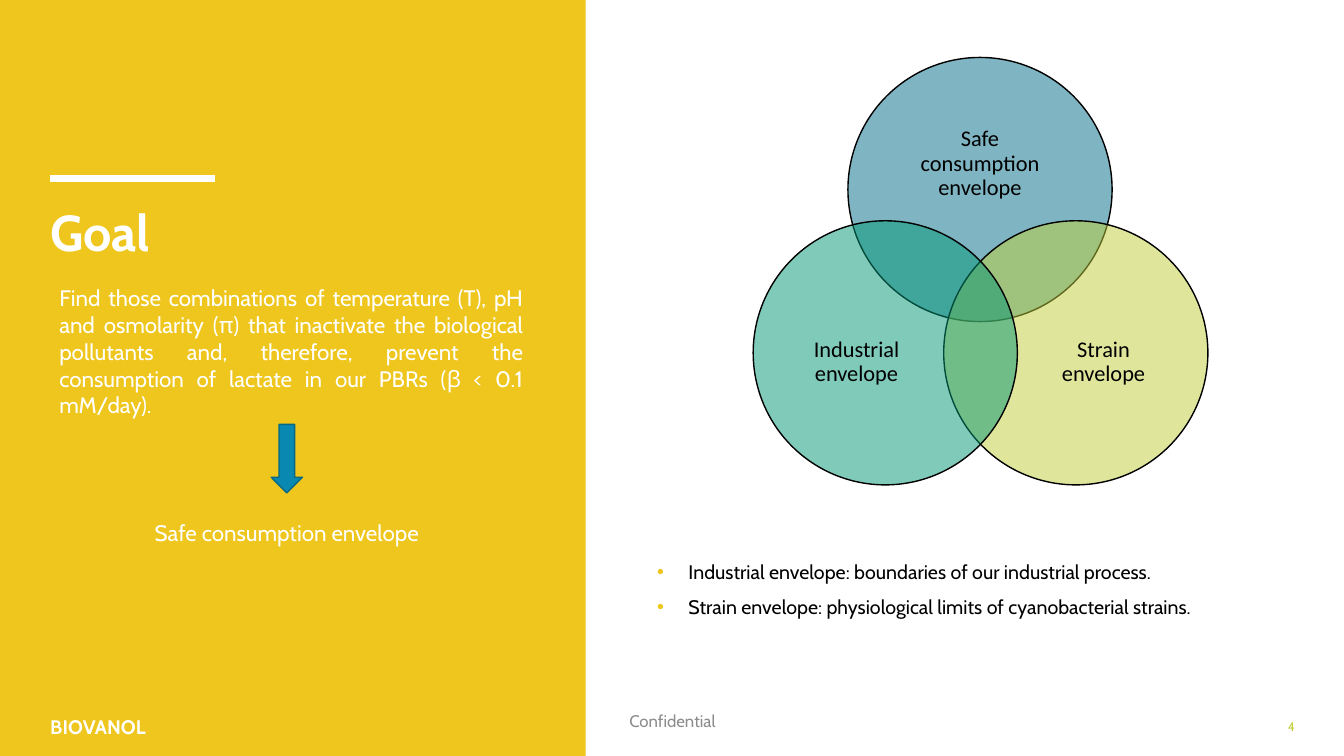
from pptx import Presentation
from pptx.dml.color import RGBColor
from pptx.enum.shapes import MSO_CONNECTOR, MSO_SHAPE
from pptx.enum.text import MSO_ANCHOR, PP_ALIGN
from pptx.oxml.ns import qn
from pptx.util import Inches, Pt
from lxml.etree import SubElement

GOLD = RGBColor(0xEE, 0xC6, 0x1D)
WHITE = RGBColor(0xFF, 0xFF, 0xFF)
BLACK = RGBColor(0, 0, 0)
GREY = RGBColor(0x8C, 0x8C, 0x8C)
LIME = RGBColor(0xC0, 0xCF, 0x3A)
TEAL = RGBColor(0x00, 0x6D, 0x87)
GREEN = RGBColor(0x02, 0x96, 0x76)
BLUE = RGBColor(0x09, 0x89, 0xB1)
NAVY = RGBColor(0x07, 0x67, 0x85)

# Content
GOAL = ("Find those combinations of temperature (T), pH and osmolarity (π) "
        "that inactivate the biological pollutants and, therefore, prevent "
        "the consumption of lactate in our PBRs (β < 0.1 mM/day).")
NOTES = ["Industrial envelope: boundaries of our industrial process.",
         "Strain envelope: physiological limits of cyanobacterial strains."]
# Text, box, size, colour, bold, alignment, anchor, line spacing, top inset
LEFT, MID, RIGHT = PP_ALIGN.LEFT, PP_ALIGN.CENTER, PP_ALIGN.RIGHT
TOP, CENTER = MSO_ANCHOR.TOP, MSO_ANCHOR.MIDDLE
LABELS = [
    ("Goal", (0.4, 1.19, 4.89, 1.58), 36, WHITE, True, LEFT, TOP, 0.9, 0.87),
    (GOAL, (0.49, 2.77, 4.8, 1.3), 16, WHITE, False, PP_ALIGN.JUSTIFY, TOP, 1, 0.05),
    ("Safe consumption envelope", (1.41, 5.1, 2.87, 0.41), 16, WHITE, False,
     MID, TOP, 1, 0.05),
    ("BIOVANOL", (0.4, 7.07, 2.47, 0.27), 14, WHITE, True, LEFT, TOP, 0.9, 0.05),
    ("Confidential", (4.42, 6.95, 4.5, 0.4), 12, GREY, False, MID, CENTER, 1, 0.05),
    ("4", (9.94, 7.07, 3, 0.27), 9, LIME, False, RIGHT, CENTER, 1, 0.05),
]
# Circle place, colour, text, text box
SIZE = 2.62
RINGS = [
    (8.41, 0.57, TEAL, "Safe consumption envelope", (9.04, 1.21, 1.36, 0.83)),
    (9.36, 2.19, LIME, "Strain envelope", (10.39, 3.08, 1.11, 1.02)),
    (7.47, 2.19, GREEN, "Industrial envelope", (7.94, 3.08, 1.11, 1.02)),
]

deck = Presentation()
deck.slide_width, deck.slide_height = Inches(13.33), Inches(7.5)
slide = deck.slides.add_slide(deck.slide_layouts[6])
shapes = slide.shapes


def add_form(kind, box, fill, line=None):
    form = shapes.add_shape(kind, *map(Inches, box))
    form.shadow.inherit = False
    form.fill.solid()
    form.fill.fore_color.rgb = fill
    if line is None:
        form.line.fill.background()
    else:
        form.line.color.rgb = line
        form.line.width = Pt(1)
    return form


def add_text(lines, box, size, color, bold=False, align=LEFT, anchor=TOP,
             space=1, top=0.05, font="Cabin"):
    frame = shapes.add_textbox(*map(Inches, box)).text_frame
    frame.word_wrap = True
    frame.vertical_anchor = anchor
    frame.margin_top = Inches(top)
    frame.text = lines
    for para in frame.paragraphs:
        para.alignment = align
        para.line_spacing = space
        for run in para.runs:
            run.font.name = font
            run.font.size = Pt(size)
            run.font.bold = bold
            run.font.color.rgb = color
    return frame


# Left panel with rule
add_form(MSO_SHAPE.RECTANGLE, (0, 0, 5.81, 7.5), GOLD)
rule = shapes.add_connector(MSO_CONNECTOR.STRAIGHT, Inches(0.5), Inches(1.77),
                            Inches(2.13), Inches(1.77))
rule.line.color.rgb = WHITE
rule.line.width = Pt(4.5)
SubElement(rule._element.spPr, qn("a:effectLst"))

# Labels and arrow
for label in LABELS:
    add_text(*label)
add_form(MSO_SHAPE.DOWN_ARROW, (2.69, 4.21, 0.31, 0.68), BLUE, NAVY)

# Venn diagram
for left, top, color, text, box in RINGS:
    ring = add_form(MSO_SHAPE.OVAL, (left, top, SIZE, SIZE), color, BLACK)
    tint = ring._element.spPr.find(qn("a:solidFill"))[0]
    SubElement(tint, qn("a:alpha"), val="50000")
    frame = add_text(text, box, 16, BLACK, False, MID, CENTER, 0.9, 0, "Calibri")
    frame.margin_left = frame.margin_right = frame.margin_bottom = 0

# Bulleted notes
frame = add_text("\n".join(NOTES), (6.42, 5.53, 5.99, 0.58), 14, BLACK, space=0.9)
for para in frame.paragraphs:
    props = para._p.get_or_add_pPr()
    props.set("marL", str(Inches(0.31)))
    props.set("indent", str(-Inches(0.31)))
    if para is not frame.paragraphs[0] and para.text != NOTES[0]:
        para.space_before = Pt(10)
    tone = SubElement(props, qn("a:buClr"))
    SubElement(tone, qn("a:srgbClr"), val=str(GOLD))
    SubElement(props, qn("a:buFont"), typeface="Arial")
    SubElement(props, qn("a:buChar"), char="•")

deck.save("out.pptx")
